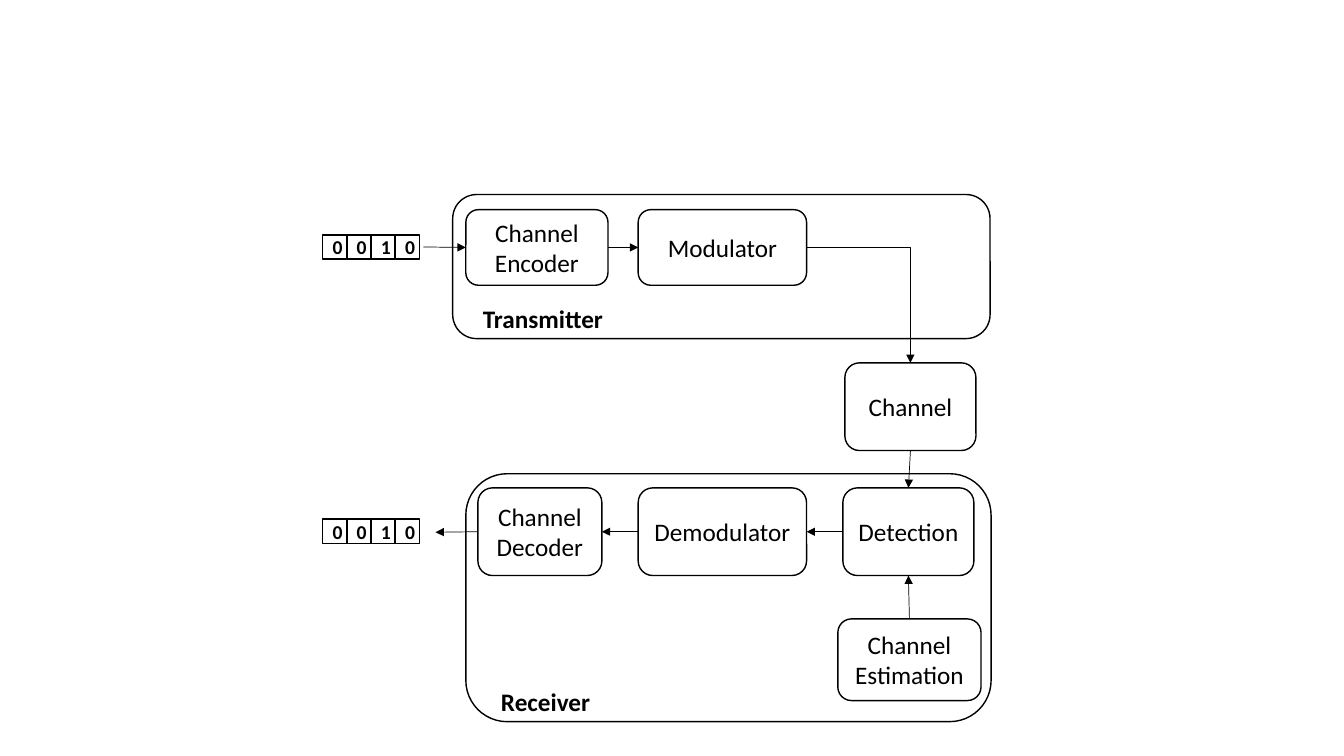
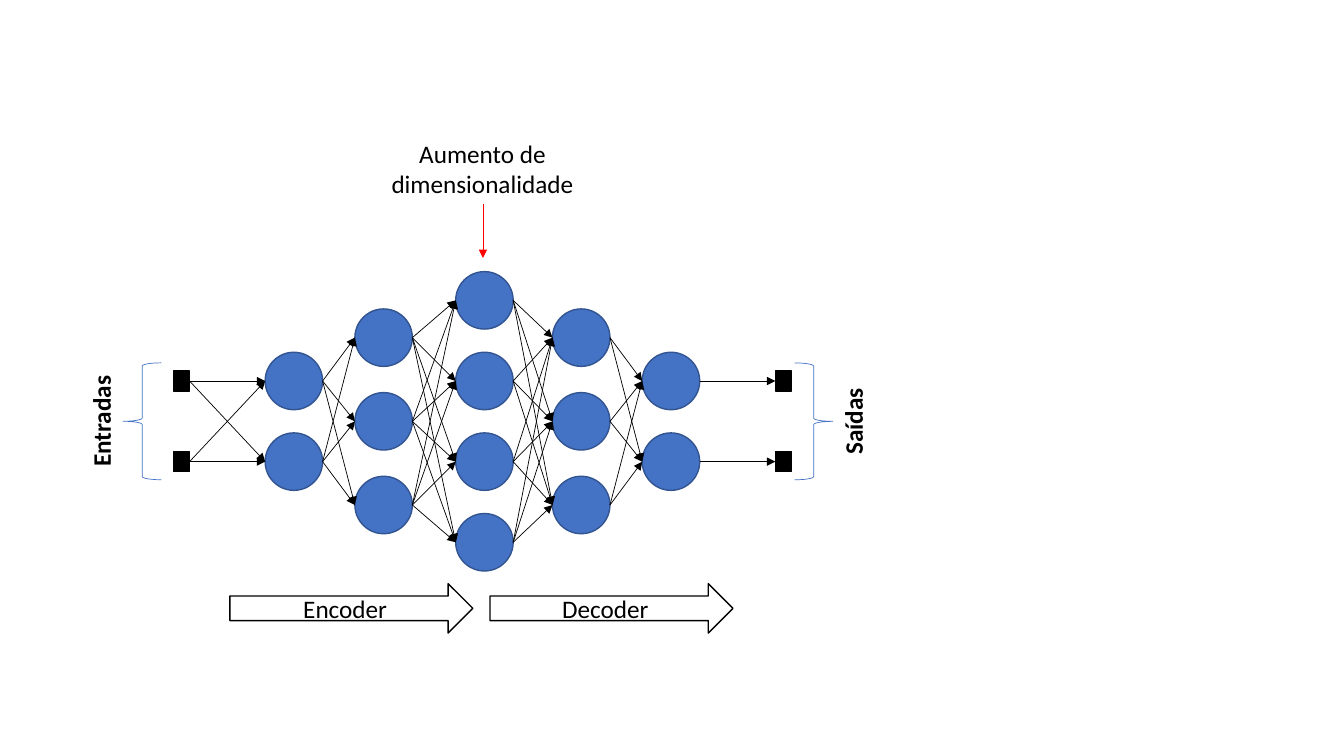
from itertools import product

from lxml import etree
from pptx import Presentation
from pptx.dml.color import RGBColor
from pptx.enum import shapes, text
from pptx.oxml.ns import qn
from pptx.util import Inches, Pt

FONT = "Calibri"
BLACK, RED, BLUE, DARK_BLUE = "000000", "FF0000", "4472C4", "325491"
TOP, LEFT, BOTTOM, RIGHT = range(4)
KIND = shapes.MSO_SHAPE
ROUNDED = KIND.ROUNDED_RECTANGLE


def add_box(slide, kind, left, top, width, height, words="", size=18, bold=False,
            align=text.PP_ALIGN.CENTER, fill=None, line=BLACK, weight=1):
    """Add a preset shape, or a text box when kind is None."""
    place = [Inches(value) for value in (left, top, width, height)]
    if kind is None:
        shape = slide.shapes.add_textbox(*place)
        shape.text_frame.word_wrap = True
        shape.text_frame.auto_size = text.MSO_AUTO_SIZE.SHAPE_TO_FIT_TEXT
    else:
        shape = slide.shapes.add_shape(kind, *place)
        shape.shadow.inherit = False
        shape.line.color.rgb = RGBColor.from_string(line)
        shape.line.width = Pt(weight)
        if fill:
            shape.fill.solid()
            shape.fill.fore_color.rgb = RGBColor.from_string(fill)
        else:
            shape.fill.background()
    if words:
        shape.text_frame.text = words
        for paragraph in shape.text_frame.paragraphs:
            paragraph.alignment = align
            for run in paragraph.runs:
                run.font.name = FONT
                run.font.size = Pt(size)
                run.font.bold = bold
                run.font.color.rgb = RGBColor.from_string(BLACK)
    return shape


def add_arrow(slide, start, end, color=BLACK, kind=shapes.MSO_CONNECTOR.STRAIGHT):
    """Each end is a point (x, y) in inches or a pair (shape, side)."""
    connector = slide.shapes.add_connector(kind, 0, 0, 0, 0)
    if hasattr(start[0], "shape_id"):
        connector.begin_connect(*start)
    else:
        connector.begin_x, connector.begin_y = Inches(start[0]), Inches(start[1])
    if hasattr(end[0], "shape_id"):
        connector.end_connect(*end)
    else:
        connector.end_x, connector.end_y = Inches(end[0]), Inches(end[1])
    connector.line.color.rgb = RGBColor.from_string(color)
    connector.line.width = Pt(0.5)
    properties = connector.element.spPr
    etree.SubElement(properties.find(qn("a:ln")), qn("a:tailEnd"), type="triangle")
    etree.SubElement(properties, qn("a:effectLst"))
    return connector


presentation = Presentation()
presentation.slide_width = Inches(13.33)
presentation.slide_height = Inches(7.5)
blank = presentation.slide_layouts[6]

# Slide 1: communication chain
slide = presentation.slides.add_slide(blank)

# Transmitter and receiver frames with their names
add_box(slide, ROUNDED, 4.49, 1.93, 5.33, 1.43)
add_box(slide, ROUNDED, 4.62, 4.7, 5.21, 2.46)
for name, left, top in (("Transmitter", 4.69, 2.96), ("Receiver", 4.87, 6.76)):
    add_box(slide, None, left, top, 1.92, 0.4, name, bold=True,
            align=text.PP_ALIGN.LEFT)

# Processing blocks
encoder = add_box(slide, ROUNDED, 4.62, 2.08, 1.41, 0.75, "Channel\nEncoder")
modulator = add_box(slide, ROUNDED, 6.33, 2.08, 1.67, 0.75, "Modulator")
channel = add_box(slide, ROUNDED, 8.38, 3.6, 1.3, 0.87, "Channel")
detection = add_box(slide, ROUNDED, 8.36, 4.84, 1.3, 0.87, "Detection")
estimation = add_box(slide, ROUNDED, 8.31, 6.14, 1.42, 0.81, "Channel\nEstimation")
demodulator = add_box(slide, ROUNDED, 6.33, 4.84, 1.67, 0.87, "Demodulator")
decoder = add_box(slide, ROUNDED, 4.74, 4.84, 1.23, 0.87, "Channel\nDecoder")

# Signal flow
for start, end in (
    ((4.2, 2.45), (encoder, LEFT)),
    ((encoder, RIGHT), (modulator, LEFT)),
    ((channel, BOTTOM), (detection, TOP)),
    ((estimation, TOP), (detection, BOTTOM)),
    ((detection, LEFT), (demodulator, RIGHT)),
    ((demodulator, LEFT), (decoder, RIGHT)),
    ((decoder, LEFT), (4.32, 5.28)),
):
    add_arrow(slide, start, end)
elbow = add_arrow(slide, (modulator, RIGHT), (channel, TOP),
                  kind=shapes.MSO_CONNECTOR.ELBOW)
elbow.element.spPr.find(qn("a:prstGeom")).set("prst", "bentConnector2")

# Bits sent and received
BIT = 0.24
for top in (2.33, 5.15):
    for index, bit in enumerate("0010"):
        add_box(slide, KIND.RECTANGLE, 3.2 + index * BIT, top, BIT, BIT, bit,
                size=14, bold=True)

# Slide 2: autoencoder network
slide = presentation.slides.add_slide(blank)
MIDDLE = 4.18
NEURON = 0.57
PORT_WIDTH, PORT_HEIGHT = 0.16, 0.2

# Neurons, each layer centred on the same height
layers = []
for left, count, pitch in ((2.63, 2, 0.8), (3.52, 3, 0.83), (4.52, 4, 0.8),
                           (5.48, 3, 0.83), (6.37, 2, 0.8)):
    centres = [MIDDLE + (row - (count - 1) / 2) * pitch for row in range(count)]
    layers.append((left, centres))
    for centre in centres:
        add_box(slide, KIND.OVAL, left, centre - NEURON / 2, NEURON, NEURON,
                fill=BLUE, line=DARK_BLUE)

# Links between neighbouring layers
for (left, centres), (next_left, next_centres) in zip(layers, layers[1:]):
    for y, next_y in product(centres, next_centres):
        add_arrow(slide, (left + NEURON, y), (next_left, next_y))

# Input and output ports
(first_left, first_centres), (last_left, last_centres) = layers[0], layers[-1]
for y in first_centres:
    port = add_box(slide, KIND.RECTANGLE, 1.72, y - PORT_HEIGHT / 2,
                   PORT_WIDTH, PORT_HEIGHT, fill=BLACK)
    for neuron_y in first_centres:
        add_arrow(slide, (port, RIGHT), (first_left, neuron_y))
for y in last_centres:
    port = add_box(slide, KIND.RECTANGLE, 7.69, y - PORT_HEIGHT / 2,
                   PORT_WIDTH, PORT_HEIGHT, fill=BLACK)
    add_arrow(slide, (last_left + NEURON, y), (port, LEFT))

# Braces with upright labels
for name, label_left, brace_left, turn in (("Entradas", 0.28, 1.22, 0),
                                           ("Saídas", 7.74, 7.88, 180)):
    brace = add_box(slide, KIND.LEFT_BRACE, brace_left, 3.6, 0.38, 1.16,
                    line=BLUE, weight=0.5)
    brace.rotation = turn
    label = add_box(slide, None, label_left, 3.98, 1.44, 0.4, name, bold=True)
    label.rotation = 270

# Stage arrows
for name, left in (("Encoder", 2.28), ("Decoder", 4.86)):
    add_box(slide, KIND.RIGHT_ARROW, left, 5.79, 2.41, 0.49, name)

# Callout above the widest layer
add_box(slide, None, 3.68, 1.32, 2.21, 0.71, "Aumento de dimensionalidade")
add_arrow(slide, (4.79, 2.02), (4.79, 2.56), RED)

presentation.save("out.pptx")
